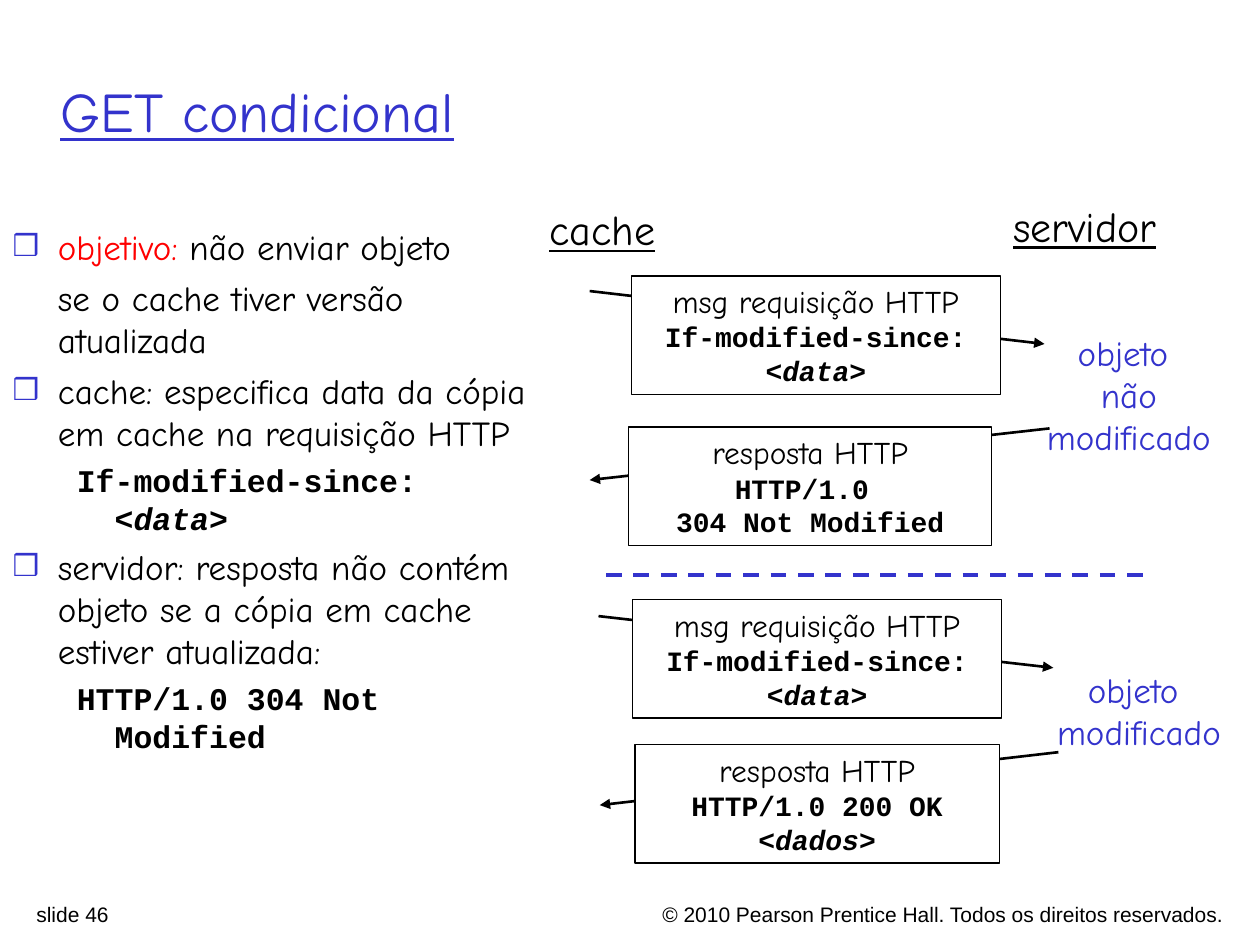
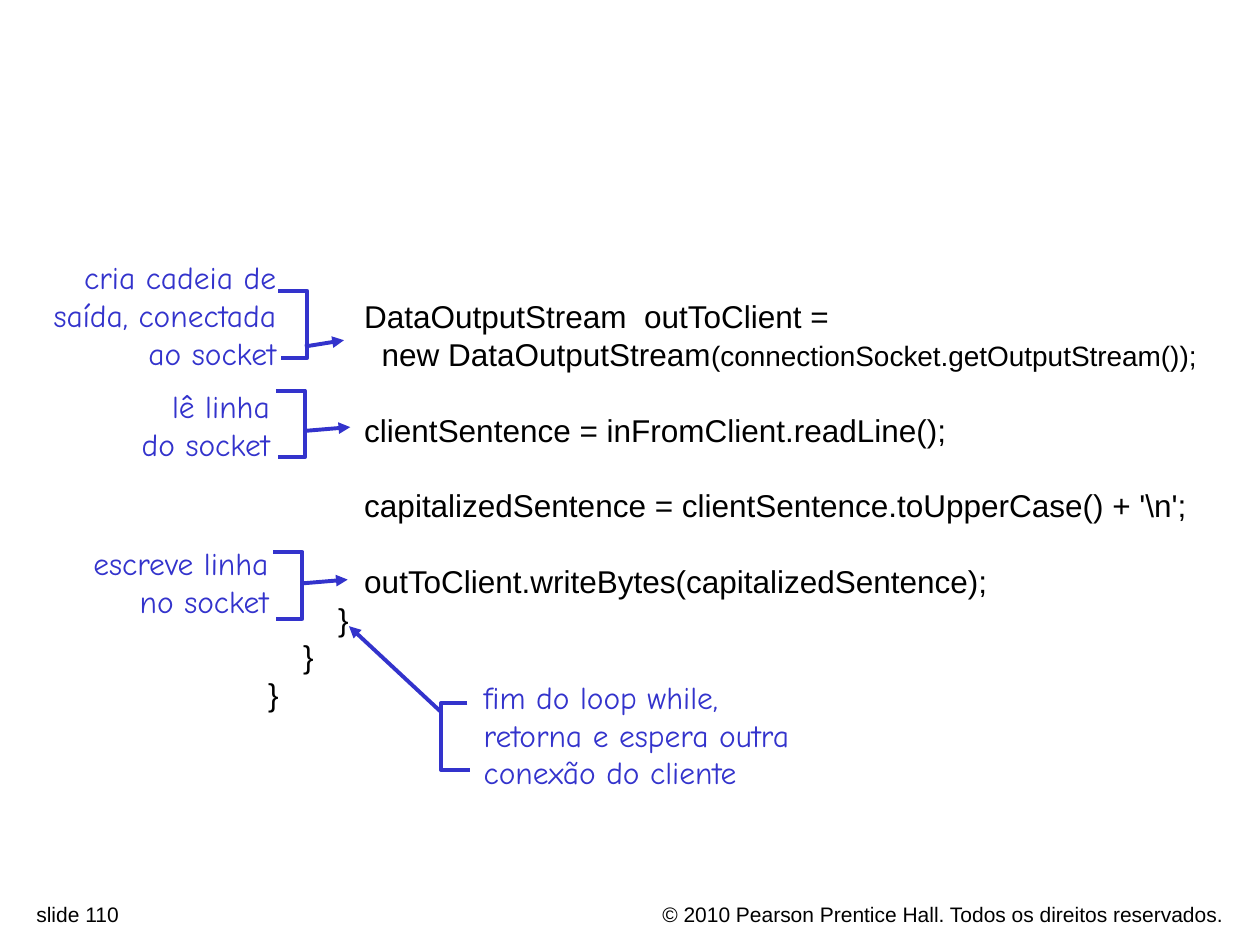
from lxml.etree import SubElement
from pptx import Presentation
from pptx.dml.color import RGBColor
from pptx.enum.dml import MSO_LINE
from pptx.enum.shapes import MSO_CONNECTOR as Link, MSO_SHAPE as Preset
from pptx.enum.text import MSO_ANCHOR as Anchor, MSO_AUTO_SIZE as AutoSize, PP_ALIGN as Align
from pptx.oxml.ns import qn
from pptx.util import Inches, Pt

BLACK, WHITE, BLUE, RED = "000000", "FFFFFF", "3333CC", "FF0000"
COMIC, COURIER, ARIAL = "Comic Neue", "Courier New", "Arial"
LINE_PITCH = 1.2
COPYRIGHT = "© 2010 Pearson Prentice Hall. Todos os direitos reservados."

TITLE = dict(name=COMIC, size=32, color=BLUE, underline=True)
HEADING = dict(name=COMIC, size=24, color=BLACK, underline=True)
BODY = dict(name=COMIC, size=20, color=BLACK)
GOAL = dict(BODY, color=RED)
OUTCOME = dict(BODY, color=BLUE)
MESSAGE = dict(BODY, size=18)
NOTE = dict(OUTCOME, size=18)
HEADER = dict(name=COURIER, size=16, color=BLACK, bold=True)
BODY_HEADER = dict(HEADER, size=18)
CODE = dict(name=ARIAL, size=18, color=BLACK)
SMALL_CODE = dict(CODE, size=16)
FOOTER = dict(CODE, size=12)


def rgb(value):
    return RGBColor.from_string(value)


def lines(style, *texts):
    return [[(text, style)] for text in texts]


def with_variable(style, before, variable, after=">"):
    return [(before, style), (variable, dict(style, italic=True)), (after, style)]


class Deck:
    """Holds the shared style and the current slide."""

    def __init__(self):
        self.presentation = Presentation()
        self.presentation.slide_width = Inches(10)
        self.presentation.slide_height = Inches(7.5)

    def new_slide(self, layout, number):
        layouts = self.presentation.slide_layouts
        self.slide = self.presentation.slides.add_slide(layouts[layout])
        self.text((4.7, 7.11, 5.11, 0.24), lines(FOOTER, COPYRIGHT), Align.RIGHT, wrap=True)
        self.text((0.19, 7.11, 3.52, 0.23), lines(FOOTER, f"slide {number}"), wrap=True)

    def write_runs(self, paragraph, runs, align=Align.LEFT):
        paragraph.alignment = align
        paragraph.line_spacing = Pt(LINE_PITCH * max(style["size"] for _, style in runs))
        for text, style in runs:
            run = paragraph.add_run()
            run.text = text
            for key, value in style.items():
                if key == "color":
                    run.font.color.rgb = rgb(value)
                else:
                    setattr(run.font, key, Pt(value) if key == "size" else value)

    def paragraphs(self, frame, count):
        return [frame.paragraphs[0]] + [frame.add_paragraph() for _ in range(count - 1)]

    def fill_frame(self, frame, content, align):
        for paragraph, runs in zip(self.paragraphs(frame, len(content)), content):
            self.write_runs(paragraph, runs, align)

    def text(self, place, content, align=Align.LEFT, anchor=Anchor.TOP, wrap=False):
        frame = self.slide.shapes.add_textbox(*map(Inches, place)).text_frame
        frame.word_wrap = wrap
        frame.vertical_anchor = anchor
        self.fill_frame(frame, content, align)
        return frame

    def place_holder(self, index, place, anchor):
        holder = self.slide.placeholders[index]
        holder.left, holder.top, holder.width, holder.height = map(Inches, place)
        frame = holder.text_frame
        frame.auto_size = AutoSize.NONE
        frame.vertical_anchor = anchor
        return frame

    def title(self, words):
        frame = self.place_holder(0, (0.38, 0.25, 8.71, 1.25), Anchor.MIDDLE)
        self.fill_frame(frame, lines(TITLE, words), Align.LEFT)

    def bullets(self, place, items):
        frame = self.place_holder(1, place, Anchor.TOP)
        for order, (kind, runs) in enumerate(items):
            paragraph = frame.paragraphs[0] if order == 0 else frame.add_paragraph()
            paragraph.level = 1 if kind == "code" else 0
            margin, indent = {"bullet": (0.36, -0.36), "plain": (0.36, 0), "code": (0.81, -0.3)}[kind]
            properties = paragraph._p.get_or_add_pPr()
            properties.set("marL", str(Inches(margin)))
            properties.set("indent", str(Inches(indent)))
            if kind == "bullet":
                color = SubElement(properties, qn("a:buClr"))
                SubElement(color, qn("a:srgbClr"), val=BLUE)
                SubElement(properties, qn("a:buSzPct"), val="85000")
                SubElement(properties, qn("a:buChar"), char="❒")
            else:
                SubElement(properties, qn("a:buNone"))
            paragraph.space_before = Pt(0 if order == 0 else 4.5 if kind == "code" else 5)
            self.write_runs(paragraph, runs)

    def message_box(self, place, content):
        box = self.slide.shapes.add_shape(Preset.RECTANGLE, *map(Inches, place))
        box.shadow.inherit = False
        box.fill.solid()
        box.fill.fore_color.rgb = rgb(WHITE)
        self.outline(box.line, BLACK, 0.75)
        box.text_frame.vertical_anchor = Anchor.TOP
        box.text_frame.word_wrap = True
        self.fill_frame(box.text_frame, content, Align.CENTER)

    def outline(self, line, color, width):
        line.color.rgb = rgb(color)
        line.width = Pt(width)

    def line(self, start, end, color, width, dashed=False):
        link = self.slide.shapes.add_connector(Link.STRAIGHT, *map(Inches, start + end))
        self.outline(link.line, color, width)
        properties = link.element.spPr
        if dashed:
            link.line.dash_style = MSO_LINE.DASH
        else:
            SubElement(properties.find(qn("a:ln")), qn("a:tailEnd"), type="triangle")
        SubElement(properties, qn("a:effectLst"))

    def bracket(self, spine, top, side):
        tip, bottom = spine + side * 0.22, top + 0.53
        corners = [(tip - 0.01, top), (spine, top), (spine, bottom), (tip + 0.01, bottom)]
        points = [(Inches(x), Inches(y)) for x, y in corners]
        builder = self.slide.shapes.build_freeform(*points[0])
        builder.add_line_segments(points[1:], close=False)
        bracket = builder.convert_to_shape()
        bracket.shadow.inherit = False
        bracket.fill.background()
        self.outline(bracket.line, BLUE, 2.25)


def conditional_get(deck):
    deck.new_slide(1, 46)
    deck.title("GET condicional")
    deck.bullets((0, 1.74, 4.42, 4.71), [
        ("bullet", [("objetivo:", GOAL), (" não enviar objeto", BODY)]),
        ("plain", [("se o cache tiver versão atualizada", BODY)]),
        ("bullet", [("cache: especifica data da cópia em cache na requisição HTTP", BODY)]),
        ("code", with_variable(BODY_HEADER, "If-modified-since: <", "data")),
        ("bullet", [("servidor: resposta não contém objeto se a cópia em cache "
                     "estiver atualizada:", BODY)]),
        ("code", [("HTTP/1.0 304 Not Modified", BODY_HEADER)]),
    ])
    deck.text((4.26, 1.57, 1.04, 0.5), lines(HEADING, "cache"), Align.CENTER)
    deck.text((7.94, 1.54, 1.34, 0.5), lines(HEADING, "servidor"), Align.CENTER)

    request = lines(MESSAGE, "msg requisição HTTP")
    request.append(with_variable(HEADER, "If-modified-since: <", "data"))
    response = lines(MESSAGE, "resposta HTTP")
    not_modified = response + lines(HEADER, "HTTP/1.0 ", "304 Not Modified")
    modified = response + lines(HEADER, "HTTP/1.0 200 OK")
    modified.append(with_variable(HEADER, "<", "dados"))
    exchanges = [
        ((4.68, 2.31), (8.29, 2.73), (5.01, 2.19, 2.93), request),
        ((8.33, 3.4), (4.68, 3.81), (4.99, 3.39, 2.88), not_modified),
        ((4.75, 4.89), (8.36, 5.3), (5.02, 4.76, 2.93), request),
        ((8.4, 5.97), (4.76, 6.39), (5.04, 5.91, 2.89), modified),
    ]
    for sender, receiver, place, message in exchanges:
        deck.line(sender, receiver, BLACK, 1.5)
        deck.message_box(place + (0.94,), message)
    deck.line((4.81, 4.56), (9.08, 4.56), BLUE, 2.25, dashed=True)
    deck.text((8.21, 2.58, 1.5, 1.1), lines(OUTCOME, "objeto ", "não", "modificado"), Align.CENTER)
    deck.text((8.29, 5.26, 1.5, 0.77), lines(OUTCOME, "objeto ", "modificado"), Align.CENTER)


def server_code(deck):
    deck.new_slide(6, 110)
    code = lines(
        CODE,
        "           DataOutputStream  outToClient =",
        "             new DataOutputStream",
        "           clientSentence = inFromClient.readLine();",
        "           capitalizedSentence = clientSentence.toUpperCase() + '\\n';",
        "           outToClient.writeBytes(capitalizedSentence);",
        "        }",
        "    }",
        "}",
    )
    code[1].append(("(connectionSocket.getOutputStream());", SMALL_CODE))
    listing = deck.text((2.03, 2.31, 7.64, 3.1), code, wrap=True)
    for statement in listing.paragraphs[2:5]:
        statement.space_before = Pt(LINE_PITCH * CODE["size"])

    notes = [
        ((0, 2, 2.29, 1), ("cria cadeia de", "saída, conectada", "ao socket"), Align.RIGHT,
         (2.44, 2.31, -1), (2.42, 2.75), (2.73, 2.7)),
        ((1.02, 3.02, 1.22, 0.7), ("lê linha", "do socket"), Align.RIGHT,
         (2.42, 3.1, -1), (2.42, 3.42), (2.78, 3.39)),
        ((0.63, 4.27, 1.6, 0.7), ("escreve linha", "no socket"), Align.RIGHT,
         (2.4, 4.38, -1), (2.4, 4.63), (2.76, 4.6)),
        ((3.74, 5.33, 2.64, 1),
         ("fim do loop while,", "retorna e espera outra", "conexão do cliente"), Align.LEFT,
         (3.5, 5.58, 1), (3.5, 5.65), (2.77, 4.97)),
    ]
    for place, words, align, bracket, start, target in notes:
        deck.text(place, lines(NOTE, *words), align, Anchor.MIDDLE)
        deck.bracket(*bracket)
        deck.line(start, target, BLUE, 2.25)


def main():
    deck = Deck()
    conditional_get(deck)
    server_code(deck)
    deck.presentation.save("out.pptx")


if __name__ == "__main__":
    main()
